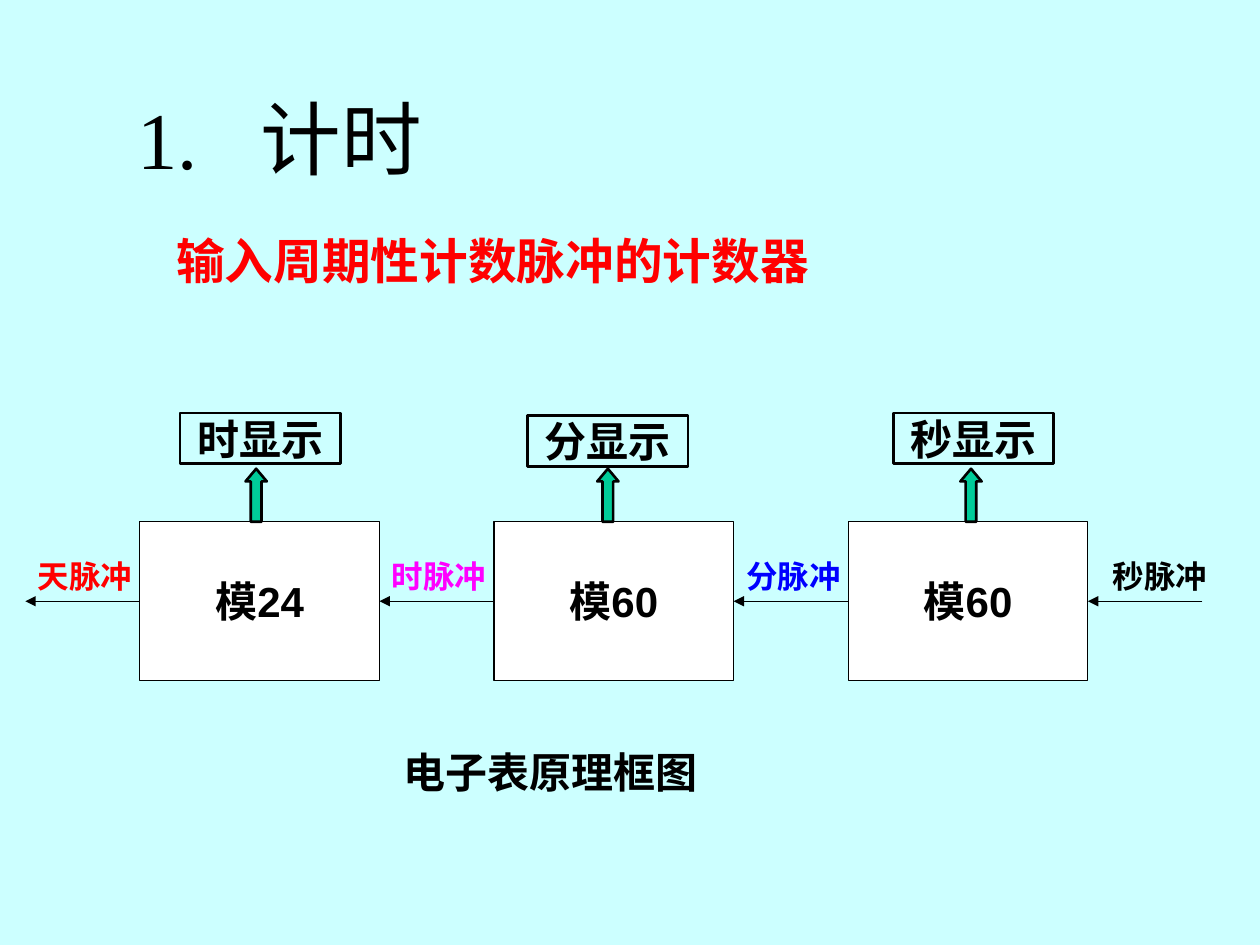
from lxml import etree
from pptx import Presentation
from pptx.dml.color import RGBColor
from pptx.enum.shapes import MSO_CONNECTOR, MSO_SHAPE
from pptx.enum.text import MSO_ANCHOR, PP_ALIGN
from pptx.oxml.ns import qn
from pptx.util import Cm, Pt

RECTANGLE, UP_ARROW = MSO_SHAPE.RECTANGLE, MSO_SHAPE.UP_ARROW
STRAIGHT = MSO_CONNECTOR.STRAIGHT
LEFT, CENTER = PP_ALIGN.LEFT, PP_ALIGN.CENTER
TOP, MIDDLE = MSO_ANCHOR.TOP, MSO_ANCHOR.MIDDLE
LEFT_SIDE, RIGHT_SIDE = 1, 3

COLORS = {
    "background": "CCFFFF", "black": "000000", "white": "FFFFFF", "red": "FF0000",
    "magenta": "FF00FF", "blue": "0000FF", "green": "00CC99",
}

# Stages from left to right: module text, display text, display offset, arrow offset,
# outgoing pulse and its colour
STAGES = [
    ("模24", "时显示", 0.81, 2.13, "天脉冲", "red"),
    ("模60", "分显示", 0.68, 2.08, "时脉冲", "magenta"),
    ("模60", "秒显示", 0.91, 2.26, "分脉冲", "blue"),
]
DISPLAY_DROPS = [0, 0.05, 0]
MODULE_W, MODULE_H = 4.83, 3.2
PULSE_W = 2.31
PITCH = MODULE_W + PULSE_W


def color(name):
    return RGBColor.from_string(COLORS[name])


def write(shape, text, size=24, font="Arial", ink="black", bold=True, align=LEFT,
          anchor=TOP, margins=(0.25, 0.13), wrap=True):
    frame = shape.text_frame
    frame.word_wrap = wrap
    frame.vertical_anchor = anchor
    frame.margin_left = frame.margin_right = Cm(margins[0])
    frame.margin_top = frame.margin_bottom = Cm(margins[1])
    paragraph = frame.paragraphs[0]
    paragraph.alignment = align
    run = paragraph.add_run()
    run.text = text
    run.font.size, run.font.name, run.font.bold = Pt(size), font, bold
    run.font.color.rgb = color(ink)
    return paragraph


def add_label(slide, text, x, y, w, h, **style):
    label = slide.shapes.add_textbox(Cm(x), Cm(y), Cm(w), Cm(h))
    write(label, text, **style)


def add_outlined(slide, kind, x, y, w, h, fill=None, line_width=1.5):
    shape = slide.shapes.add_shape(kind, Cm(x), Cm(y), Cm(w), Cm(h))
    shape.shadow.inherit = False
    if fill:
        shape.fill.solid()
        shape.fill.fore_color.rgb = color(fill)
    else:
        shape.fill.background()
    shape.line.color.rgb = color("black")
    shape.line.width = Pt(line_width)
    return shape


def add_heading(slide, x, y, w, h):
    title = slide.shapes.title
    title.left, title.top, title.width, title.height = Cm(x), Cm(y), Cm(w), Cm(h)
    paragraph = write(title, "1.\t计时", size=46, font="Times New Roman", bold=False,
                      anchor=MIDDLE)
    # Hanging indent sets the gap after the number
    properties = paragraph._p.get_or_add_pPr()
    properties.set("marL", str(Cm(3.71)))
    properties.set("indent", str(Cm(-2.49)))


def add_stage(slide, x, y, stage, drop):
    """Place one module with its display above; x and y are the module's corner."""
    module_text, display_text, display_dx, arrow_dx, _, _ = stage
    module = add_outlined(slide, RECTANGLE, x, y, MODULE_W, MODULE_H, "white", 0.75)
    write(module, module_text, align=CENTER, anchor=MIDDLE, wrap=False)
    display = add_outlined(slide, RECTANGLE, x + display_dx, y - 2.19 + drop, 3.23, 1.02)
    write(display, display_text, align=CENTER, margins=(0, 0))
    arrow = add_outlined(slide, UP_ARROW, x + arrow_dx, y - 1.07, 0.43, 1.07, "green")
    arrow.adjustments[0], arrow.adjustments[1] = 0.5, 0.596
    return module


def add_pulse(slide, x, y, source=None, target=None):
    """Draw a leftward arrow in the gap that starts at x."""
    pulse = slide.shapes.add_connector(STRAIGHT, Cm(x + PULSE_W), Cm(y), Cm(x), Cm(y))
    if source is not None:
        pulse.begin_connect(source, LEFT_SIDE)
    if target is not None:
        pulse.end_connect(target, RIGHT_SIDE)
    pulse.line.color.rgb = color("black")
    pulse.line.width = Pt(0.75)
    etree.SubElement(pulse.line._get_or_add_ln(), qn("a:tailEnd"), type="triangle")
    etree.SubElement(pulse._element.spPr, qn("a:effectLst"))


def add_block_diagram(slide, x, y):
    """Place the chain of stages; x is the tip of the leftmost pulse."""
    modules = [
        add_stage(slide, x + PULSE_W + i * PITCH, y, stage, drop)
        for i, (stage, drop) in enumerate(zip(STAGES, DISPLAY_DROPS))
    ]
    # Each pulse runs from the module on its right to the one on its left
    for i, (source, target) in enumerate(zip(modules + [None], [None] + modules)):
        add_pulse(slide, x + i * PITCH, y + MODULE_H / 2, source, target)

    # Pulse names, the input pulse set slightly to the right
    pulses = [(stage[4], stage[5], 0) for stage in STAGES] + [("秒脉冲", "black", 0.25)]
    for i, (name, ink, shift) in enumerate(pulses):
        add_label(slide, name, x + i * PITCH + shift, y + 0.58, 2.74, 1.02,
                  size=18, ink=ink)

    # Caption
    add_label(slide, "电子表原理框图", x + 7.37, y + 4.39, 7.57, 1.27)


def main():
    presentation = Presentation()
    presentation.slide_width, presentation.slide_height = Cm(25.4), Cm(19.05)
    slide = presentation.slides.add_slide(presentation.slide_layouts[5])
    slide.background.fill.solid()
    slide.background.fill.fore_color.rgb = color("background")

    add_heading(slide, 1.3, 1.52, 8.81, 2.49)
    add_label(slide, "输入周期性计数脉冲的计数器", 3.3, 4.52, 19.35, 1.5,
              size=27.8, font="Times New Roman", ink="red")
    add_block_diagram(slide, 0.51, 10.52)
    presentation.save("out.pptx")


if __name__ == "__main__":
    main()
